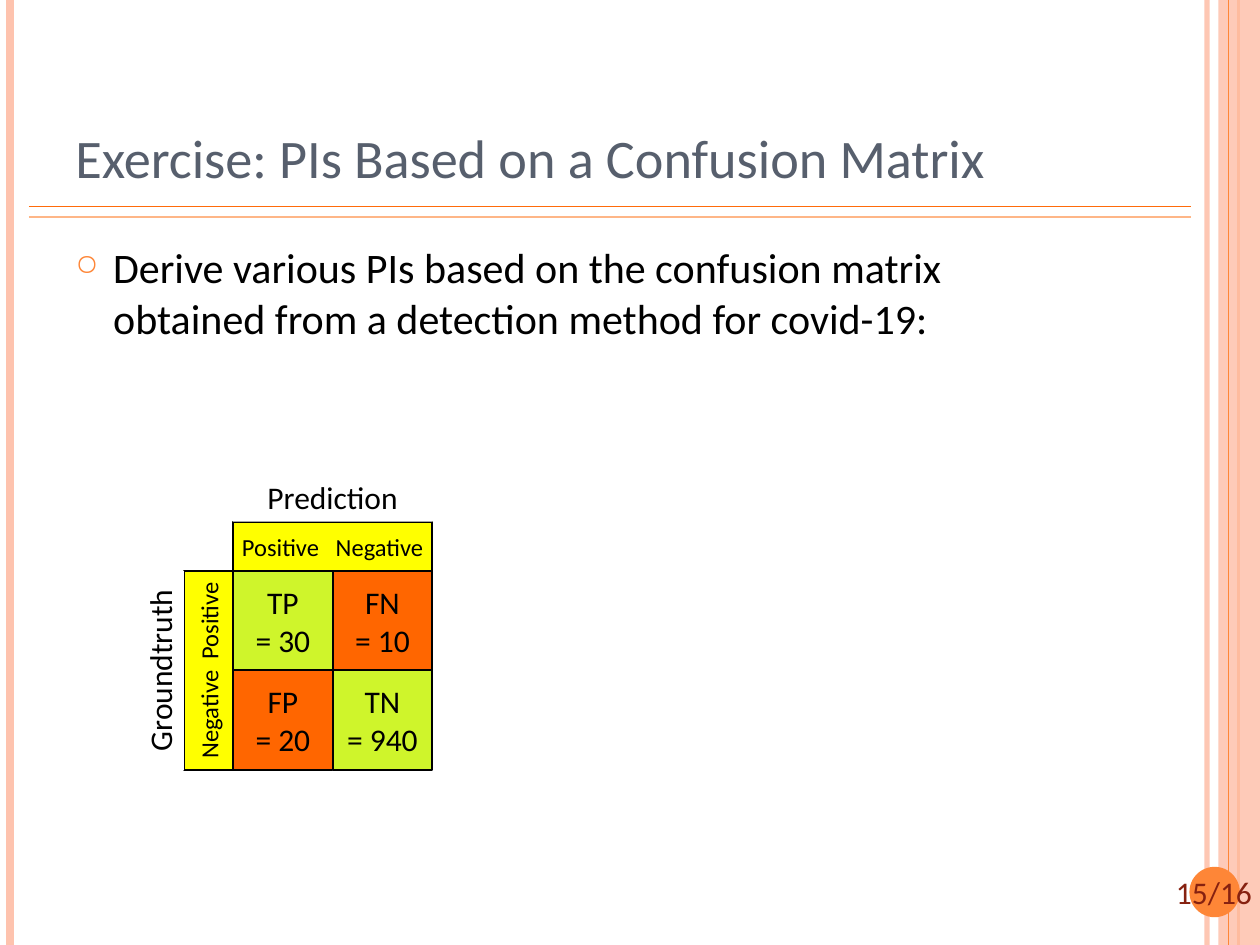
from dataclasses import dataclass

from lxml import etree
from pptx import Presentation
from pptx.dml.color import RGBColor
from pptx.enum.shapes import MSO_CONNECTOR, MSO_SHAPE
from pptx.enum.text import MSO_ANCHOR, PP_ALIGN
from pptx.oxml.ns import qn
from pptx.util import Inches, Pt

RECTANGLE, OVAL = MSO_SHAPE.RECTANGLE, MSO_SHAPE.OVAL
STRAIGHT = MSO_CONNECTOR.STRAIGHT
TOP, MIDDLE, BOTTOM = MSO_ANCHOR.TOP, MSO_ANCHOR.MIDDLE, MSO_ANCHOR.BOTTOM
LEFT, CENTER = PP_ALIGN.LEFT, PP_ALIGN.CENTER


@dataclass(frozen=True)
class Theme:
    font: str = "Calibri"
    black: str = "000000"
    white: str = "FFFFFF"
    title: str = "575F6D"
    page: str = "862110"
    orange: str = "FE8637"
    rule: str = "FF6B0A"
    light_rule: str = "FEB687"
    peach: str = "FEC3AE"
    correct: str = "CFF52B"
    wrong: str = "FF6600"
    header: str = "FFFF00"
    title_size: float = 31
    body_size: float = 24
    label_size: float = 18
    header_size: float = 14


THEME = Theme()
SLIDE_WIDTH, SLIDE_HEIGHT = 10, 7.5
CELL, BAND = 0.79, 0.39
MATRIX_LEFT, MATRIX_TOP = 1.85, 4.53


@dataclass(frozen=True)
class Rule:
    start: tuple[float, float]
    end: tuple[float, float]
    color: str
    width: float
    opacity: int = 100


@dataclass(frozen=True)
class Outcome:
    row: int
    column: int
    name: str
    count: int


@dataclass(frozen=True)
class Axis:
    title: str
    classes: tuple[str, str]
    gap: float
    vertical: bool


RULES = [
    Rule((9.58, 0), (9.58, SLIDE_HEIGHT), THEME.peach, 3, 93),
    Rule((0.08, 0), (0.08, SLIDE_HEIGHT), THEME.peach, 4.5),
    Rule((9.83, 0), (9.83, SLIDE_HEIGHT), THEME.orange, 1.5),
    Rule((9.75, 0), (9.75, SLIDE_HEIGHT), THEME.orange, 0.75),
    Rule((0.23, 1.64), (9.45, 1.64), THEME.rule, 1),
    Rule((0.23, 1.72), (9.45, 1.72), THEME.light_rule, 1),
]
OUTCOMES = [
    Outcome(0, 0, "TP", 30),
    Outcome(0, 1, "FN", 10),
    Outcome(1, 0, "FP", 20),
    Outcome(1, 1, "TN", 940),
]
AXES = [
    Axis("Prediction", ("Positive", "Negative"), 6.3, False),
    Axis("Groundtruth", ("Negative", "Positive"), 3.15, True),
]


def set_opacity(fill_parent, percent: int) -> None:
    color = fill_parent.find(".//" + qn("a:srgbClr"))
    etree.SubElement(color, qn("a:alpha")).set("val", str(percent * 1000))


def write_text(shape, text: str, *, size: float, color: str = THEME.black,
               align=CENTER, anchor=MIDDLE, wrap: bool = False) -> None:
    frame = shape.text_frame
    frame.word_wrap = wrap
    frame.vertical_anchor = anchor
    frame.text = text
    for paragraph in frame.paragraphs:
        paragraph.alignment = align
        for run in paragraph.runs:
            run.font.name = THEME.font
            run.font.size = Pt(size)
            run.font.color.rgb = RGBColor.from_string(color)


def add_text(slide, box: tuple[float, ...], text: str, **text_format):
    shape = slide.shapes.add_textbox(*map(Inches, box))
    write_text(shape, text, wrap=True, **text_format)
    return shape


def add_block(slide, box: tuple[float, ...], fill: str, *, kind=RECTANGLE,
              outlined: bool = False):
    shape = slide.shapes.add_shape(kind, *map(Inches, box))
    shape.shadow.inherit = False
    shape.fill.solid()
    shape.fill.fore_color.rgb = RGBColor.from_string(fill)
    if outlined:
        shape.line.color.rgb = RGBColor.from_string(THEME.black)
        shape.line.width = Pt(1)
    else:
        shape.line.fill.background()
    return shape


def add_rule(slide, rule: Rule) -> None:
    line = slide.shapes.add_connector(STRAIGHT, *map(Inches, rule.start + rule.end))
    line.line.color.rgb = RGBColor.from_string(rule.color)
    line.line.width = Pt(rule.width)
    properties = line._element.spPr
    etree.SubElement(properties, qn("a:effectLst"))
    if rule.opacity < 100:
        set_opacity(properties, rule.opacity)


def add_bullet(paragraph) -> None:
    paragraph.space_before = Pt(6)
    properties = paragraph._p.get_or_add_pPr()
    properties.set("marL", str(Inches(0.3)))
    properties.set("indent", str(Inches(-0.3)))
    color = etree.SubElement(properties, qn("a:buClr"))
    etree.SubElement(color, qn("a:srgbClr")).set("val", THEME.orange)
    etree.SubElement(properties, qn("a:buSzPct")).set("val", "70000")
    etree.SubElement(properties, qn("a:buChar")).set("char", "○")


def add_outcome(slide, outcome: Outcome) -> None:
    fill = THEME.correct if outcome.row == outcome.column else THEME.wrong
    box = (MATRIX_LEFT + outcome.column * CELL, MATRIX_TOP + outcome.row * CELL, CELL, CELL)
    shape = add_block(slide, box, fill, outlined=True)
    write_text(shape, f"{outcome.name}\n= {outcome.count}", size=THEME.label_size)


def add_axis_band(slide, axis: Axis, level: int, fill: str, outlined: bool):
    length, offset = 2 * CELL, (level + 0.5) * BAND
    center_x, center_y = MATRIX_LEFT + CELL, MATRIX_TOP - offset
    if axis.vertical:
        center_x, center_y = MATRIX_LEFT - offset, MATRIX_TOP + CELL
    box = (center_x - length / 2, center_y - BAND / 2, length, BAND)
    shape = add_block(slide, box, fill, outlined=outlined)
    shape.rotation = 270 if axis.vertical else 0
    return shape


def add_axis(slide, axis: Axis) -> None:
    header = add_axis_band(slide, axis, 0, THEME.header, True)
    write_text(header, axis.classes[0], size=THEME.header_size)
    paragraph = header.text_frame.paragraphs[0]
    for text in (" ", axis.classes[1]):
        run = paragraph.add_run()
        run.text = text
        run.font.name = THEME.font
        run.font.size = Pt(THEME.header_size)
        run.font.color.rgb = RGBColor.from_string(THEME.black)
    paragraph.runs[1]._r.get_or_add_rPr().set("spc", str(round(axis.gap * 100)))
    title = add_axis_band(slide, axis, 1, THEME.white, False)
    write_text(title, axis.title, size=THEME.label_size)


def main() -> None:
    presentation = Presentation()
    presentation.slide_width = Inches(SLIDE_WIDTH)
    presentation.slide_height = Inches(SLIDE_HEIGHT)
    slide = presentation.slides.add_slide(presentation.slide_layouts[6])

    for rule in RULES[:3]:
        add_rule(slide, rule)
    side_band = add_block(slide, (9.67, 0, 0.33, SLIDE_HEIGHT), THEME.peach)
    set_opacity(side_band._element.spPr, 87)
    for rule in RULES[3:]:
        add_rule(slide, rule)
    add_block(slide, (9.44, 6.88, 0.4, 0.4), THEME.orange, kind=OVAL)
    add_text(slide, (9.18, 6.88, 0.91, 0.4), "15/16", size=THEME.label_size,
             color=THEME.page, anchor=TOP)
    add_text(slide, (0.5, 0.3, 8.64, 1.25), "Exercise: PIs Based on a Confusion Matrix",
             size=THEME.title_size, color=THEME.title, align=LEFT, anchor=BOTTOM)
    body = add_text(slide, (0.5, 1.87, 8.17, 5.21),
                    "Derive various PIs based on the confusion matrix "
                    "obtained from a detection method for covid-19:",
                    size=THEME.body_size, align=LEFT, anchor=TOP)
    add_bullet(body.text_frame.paragraphs[0])
    for outcome in OUTCOMES:
        add_outcome(slide, outcome)
    for axis in AXES:
        add_axis(slide, axis)
    presentation.save("out.pptx")


if __name__ == "__main__":
    main()
